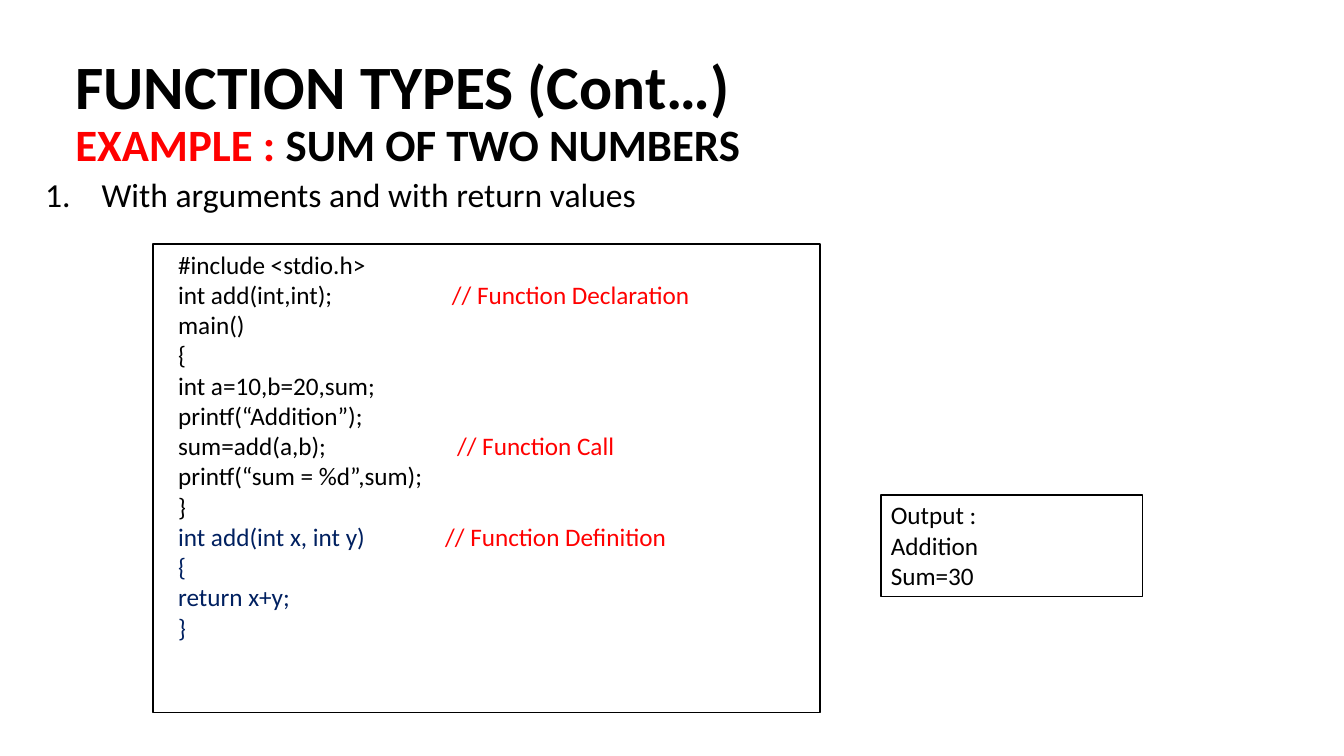
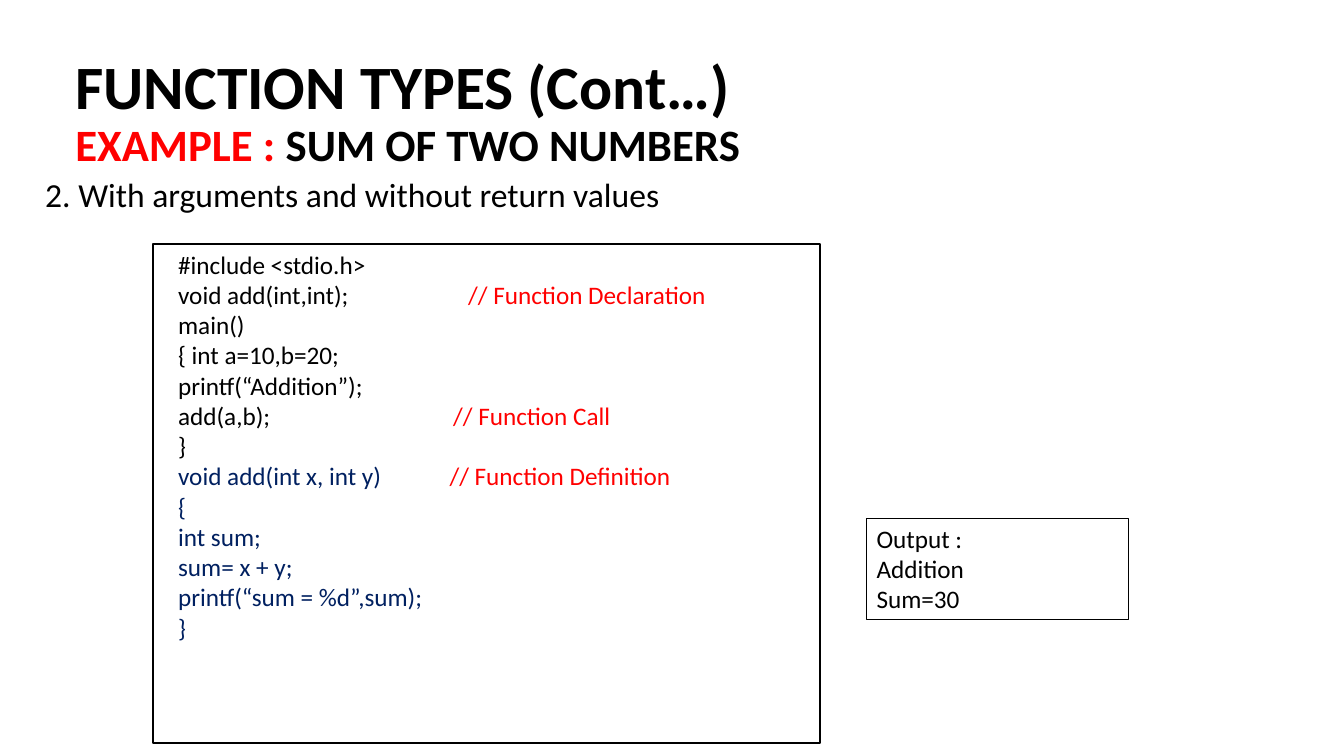
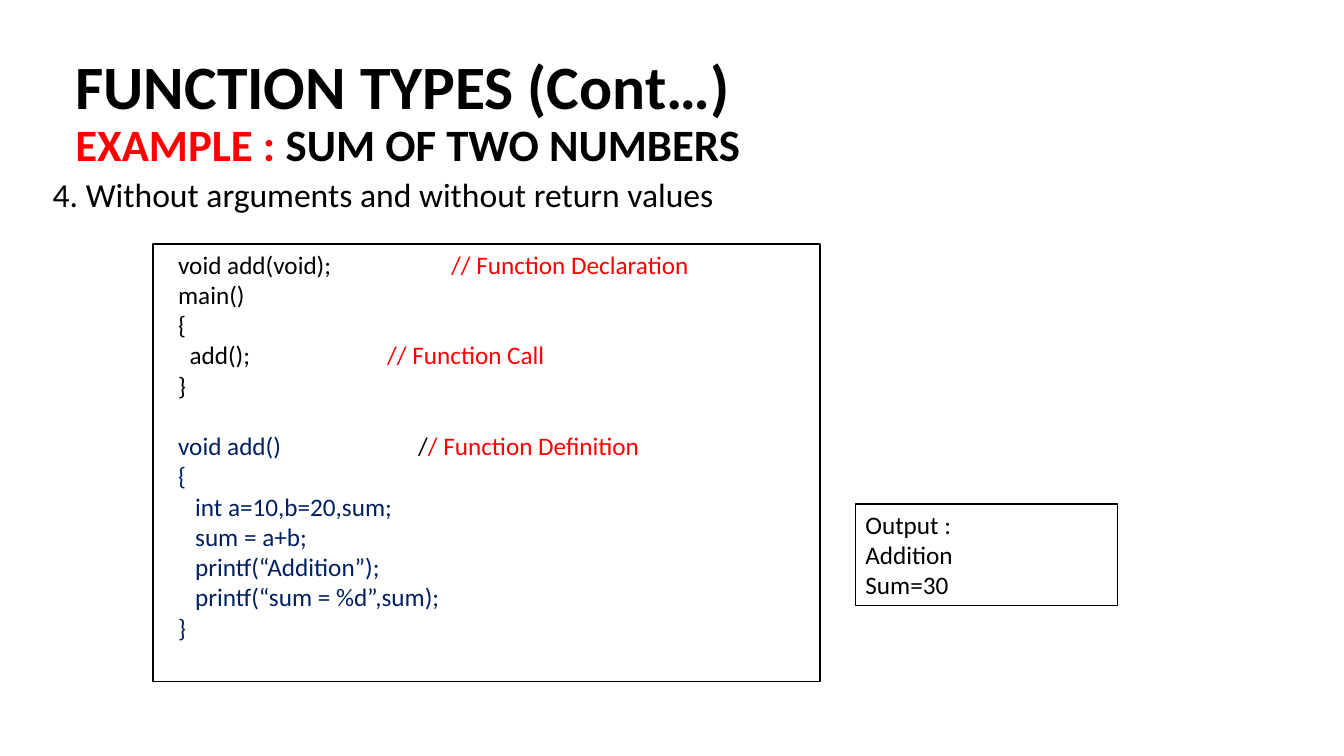
from dataclasses import dataclass

from lxml.etree import SubElement
from pptx import Presentation
from pptx.dml.color import RGBColor
from pptx.enum.shapes import MSO_SHAPE
from pptx.enum.text import MSO_ANCHOR, MSO_AUTO_SIZE
from pptx.oxml.ns import qn
from pptx.util import Cm, Pt


@dataclass(frozen=True)
class Theme:
    font: str = "Calibri"
    paper: RGBColor = RGBColor(0xFF, 0xFF, 0xFF)
    ink: RGBColor = RGBColor(0x00, 0x00, 0x00)
    accent: RGBColor = RGBColor(0xFF, 0x00, 0x00)
    navy: RGBColor = RGBColor(0x00, 0x20, 0x60)
    title_size: float = 44
    subtitle_size: float = 32
    heading_size: float = 24
    code_size: float = 18
    code_line: float = 21.6


THEME = Theme()
ROW_HEIGHT = 0.77
FRAME_PADDING = 0.25


@dataclass(frozen=True)
class CodeLine:
    text: str
    comment: str = ""
    column: float = 0
    indent: float = 0
    comment_lead: str = ""
    gap_before: float = 0


@dataclass(frozen=True)
class Example:
    heading: str
    main_code: tuple[CodeLine, ...]
    function_code: tuple[CodeLine, ...]
    rows: int
    output_left: float
    output_top: float
    numbered: bool = False
    heading_indent: float = 0


OUTPUT = tuple(CodeLine(text) for text in ("Output :", "Addition", "Sum=30"))
DECLARATION = "// Function Declaration"
CALL = "// Function Call"
DEFINITION = "// Function Definition"

EXAMPLES = (
    Example(
        "With arguments and with return values",
        (
            CodeLine("#include <stdio.h>"),
            CodeLine("int add(int,int);", DECLARATION, 6.9),
            CodeLine("main()"),
            CodeLine("{"),
            CodeLine("int a=10,b=20,sum;"),
            CodeLine("printf(“Addition”);"),
            CodeLine("sum=add(a,b);", CALL, 7.03),
            CodeLine("printf(“sum = %d”,sum);"),
            CodeLine("}"),
        ),
        (
            CodeLine("int add(int x, int y)", DEFINITION, 6.73),
            CodeLine("{"),
            CodeLine("return x+y;"),
            CodeLine("}"),
        ),
        rows=15,
        output_left=22.2,
        output_top=12.47,
        numbered=True,
    ),
    Example(
        "2. With arguments and without return values",
        (
            CodeLine("#include <stdio.h>"),
            CodeLine("void add(int,int);", DECLARATION, 7.31),
            CodeLine("main()"),
            CodeLine("{ int a=10,b=20;"),
            CodeLine("printf(“Addition”);"),
            CodeLine("add(a,b);", CALL, 6.93),
            CodeLine("}"),
        ),
        (
            CodeLine("void add(int x, int y)", DEFINITION, 6.84),
            CodeLine("{"),
            CodeLine("int sum;"),
            CodeLine("sum= x + y;"),
            CodeLine("printf(“sum = %d”,sum);"),
            CodeLine("}"),
        ),
        rows=16,
        output_left=21.84,
        output_top=13.06,
    ),
    Example(
        "4. Without arguments and without return values",
        (
            CodeLine("void add(void);", DECLARATION, 6.88),
            CodeLine("main()"),
            CodeLine("{"),
            CodeLine("add();", CALL, 5.27, indent=0.29),
            CodeLine("}"),
        ),
        (
            CodeLine("void add()", "/ Function Definition", 6.05,
                     comment_lead="/", gap_before=THEME.code_line),
            CodeLine("{"),
            CodeLine("int a=10,b=20,sum;", indent=0.43),
            CodeLine("sum = a+b;", indent=0.43),
            CodeLine("printf(“Addition”);", indent=0.43),
            CodeLine("printf(“sum = %d”,sum);", indent=0.43),
            CodeLine("}"),
        ),
        rows=14,
        output_left=21.56,
        output_top=12.7,
        heading_indent=0.19,
    ),
)


def write(para, text: str, *, size: float, color: RGBColor = THEME.ink, bold: bool = False) -> None:
    span = para.add_run()
    span.text = text
    span.font.name = THEME.font
    span.font.size = Pt(size)
    span.font.color.rgb = color
    span.font.bold = bold


def add_text_box(page, left: float, top: float, width: float, height: float):
    box = page.shapes.add_textbox(Cm(left), Cm(top), Cm(width), Cm(height))
    box.text_frame.word_wrap = True
    para = box.text_frame.paragraphs[0]
    para.line_spacing = 0.9
    return box.text_frame, para


def add_title(page) -> None:
    frame, para = add_text_box(page, 1.65, 1.02, 28.73, 3.68)
    frame.vertical_anchor = MSO_ANCHOR.MIDDLE
    write(para, "FUNCTION TYPES (Cont…)", size=THEME.title_size, bold=True)
    para.add_line_break()
    write(para, "EXAMPLE :", size=THEME.subtitle_size, color=THEME.accent, bold=True)
    write(para, " SUM OF TWO NUMBERS", size=THEME.subtitle_size, bold=True)


def add_heading(page, example: Example) -> None:
    _, para = add_text_box(page, 0.89, 4.37, 28.73, 12.78)
    para.space_before = Pt(10)
    properties = para._p.get_or_add_pPr()
    if example.numbered:
        properties.set("marL", str(Cm(1.42)))
        properties.set("indent", str(Cm(-1.42)))
        SubElement(properties, qn("a:buFont"), typeface=THEME.font)
        SubElement(properties, qn("a:buAutoNum"), type="arabicPeriod")
    else:
        properties.set("marL", str(Cm(example.heading_indent)))
    write(para, example.heading, size=THEME.heading_size)


def add_code_line(para, line: CodeLine, color: RGBColor) -> None:
    para.space_before = Pt(line.gap_before)
    stops = [stop for stop in (line.indent, line.column) if stop]
    if stops:
        tabs = SubElement(para._p.get_or_add_pPr(), qn("a:tabLst"))
        for stop in stops:
            SubElement(tabs, qn("a:tab"), pos=str(Cm(stop)), algn="l")
    prefix = "\t" if line.indent else ""
    write(para, prefix + line.text, size=THEME.code_size, color=color)
    if line.comment:
        write(para, "\t" + line.comment_lead, size=THEME.code_size)
        write(para, line.comment, size=THEME.code_size, color=THEME.accent)


def add_code_box(page, left: float, top: float, width: float, rows: int, inset: float,
                 lines: list[tuple[CodeLine, RGBColor]]) -> None:
    height = rows * ROW_HEIGHT + FRAME_PADDING
    box = page.shapes.add_shape(MSO_SHAPE.RECTANGLE, Cm(left), Cm(top), Cm(width), Cm(height))
    box.shadow.inherit = False
    box.fill.solid()
    box.fill.fore_color.rgb = THEME.paper
    box.line.color.rgb = THEME.ink
    box.line.width = Pt(1)
    frame = box.text_frame
    frame.word_wrap = True
    frame.auto_size = MSO_AUTO_SIZE.NONE
    frame.vertical_anchor = MSO_ANCHOR.TOP
    frame.margin_left = Cm(inset)
    for index, (line, color) in enumerate(lines):
        para = frame.add_paragraph() if index else frame.paragraphs[0]
        para._p.get_or_add_pPr().set("algn", "l")
        add_code_line(para, line, color)


def add_example(deck, example: Example) -> None:
    page = deck.slides.add_slide(deck.slide_layouts[6])
    add_title(page)
    add_heading(page, example)
    code = [(line, THEME.ink) for line in example.main_code]
    code += [(line, THEME.navy) for line in example.function_code]
    add_code_box(page, 3.86, 6.15, 16.81, example.rows, 0.63, code)
    output = [(line, THEME.ink) for line in OUTPUT]
    add_code_box(page, example.output_left, example.output_top, 6.6, len(OUTPUT), 0.25, output)


def main() -> None:
    deck = Presentation()
    deck.slide_width = Cm(33.87)
    deck.slide_height = Cm(19.05)
    for example in EXAMPLES:
        add_example(deck, example)
    deck.save("out.pptx")


if __name__ == "__main__":
    main()
